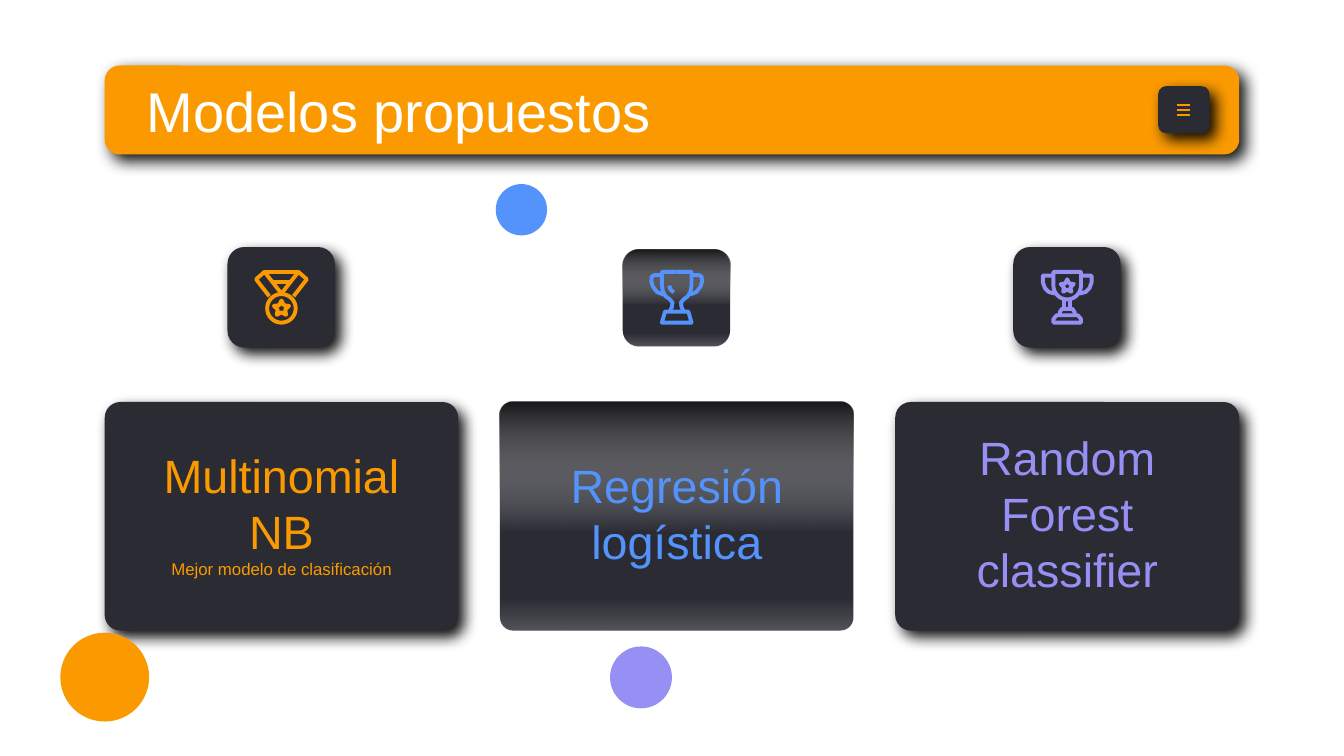
from dataclasses import dataclass
from math import cos, pi, sin

from lxml import etree
from pptx import Presentation
from pptx.dml.color import RGBColor
from pptx.enum.shapes import MSO_SHAPE
from pptx.enum.text import MSO_ANCHOR, PP_ALIGN
from pptx.oxml import parse_xml
from pptx.oxml.ns import nsdecls, qn
from pptx.util import Cm, Pt

ROUND_RECT, OVAL = MSO_SHAPE.ROUNDED_RECTANGLE, MSO_SHAPE.OVAL
MIDDLE = MSO_ANCHOR.MIDDLE
LEFT, CENTER = PP_ALIGN.LEFT, PP_ALIGN.CENTER

COLORS = {
    "orange": "FA9A00",
    "blue": "5393FB",
    "violet": "9690F4",
    "panel": "2A2B33",
    "white": "FFFFFF",
    "black": "000000",
    "gloss_dark": "17171A",
    "gloss_light": "EEEEEE",
}
FONT = "Arial"
ICON_TOP = 5.1
ICON_LINE = 2.1

Points = list[tuple[float, float]]
GLOSS = [
    (270, [(0, "white", 0), (43, "white", 0), (100, "gloss_dark", 100)]),
    (90, [(0, "white", 0), (86, "white", 0), (100, "gloss_light", 21)]),
]


@dataclass
class Stroke:
    points: Points
    closed: bool = False
    mirrored: bool = False


@dataclass
class Model:
    center: float
    width: float
    color: str
    lines: list[tuple[str, float]]
    icon: list[Stroke]
    glossy: bool = False


@dataclass
class Dot:
    left: float
    top: float
    size: float
    color: str


def rgb(name: str) -> RGBColor:
    return RGBColor.from_string(COLORS[name])


def arc(cy: float, radius: float, start: float, end: float, steps: int = 32) -> Points:
    angles = [start + (end - start) * i / steps for i in range(steps + 1)]
    return [(radius * cos(a), cy + radius * sin(a)) for a in angles]


def star(cy: float, radius: float) -> Points:
    radii = [radius, radius / 2] * 5
    return [(r * sin(i * pi / 5), cy - r * cos(i * pi / 5)) for i, r in enumerate(radii)]


MEDAL = [
    Stroke(arc(7.3, 2.7, 0, 2 * pi), closed=True),
    Stroke(star(7.3, 1.5), closed=True),
    Stroke([(-3.2, 0.4), (3.2, 0.4)]),
    Stroke([(-1.6, 2.4), (1.6, 2.4)]),
    Stroke([(0, 4.5), (-3.2, 0.4), (-4.8, 1.8), (-2.3, 5)], mirrored=True),
]
CUP = [
    Stroke([(0, 0.4), (-2.8, 0.4), (-2.8, 3), (-2.6, 4.1), (-2.1, 5), (-1.3, 5.6),
            (-0.8, 6.2), (-0.9, 7), (-1.3, 7.9)], mirrored=True),
    Stroke([(-2.8, 1), (-4.2, 1), (-4.7, 1.3), (-4.8, 2.2), (-4.5, 3.2),
            (-3.7, 4.2), (-2.5, 4.7)], mirrored=True),
    Stroke([(-2.2, 7.9), (2.2, 7.9), (2.8, 10), (-2.8, 10)], closed=True),
    Stroke([(-1.4, 3), (-1.2, 3.7), (-0.6, 4.3)]),
]
STAR_CUP = [
    Stroke([(-2.6, 0.4), (2.6, 0.4)] + arc(3, 2.6, 0, pi), closed=True),
    Stroke([(-2.6, 1.1), (-4.6, 1.1), (-4.6, 2.4), (-4.2, 3.5), (-3.5, 4.2),
            (-2.4, 4.5)], mirrored=True),
    Stroke(star(3.1, 1.3), closed=True),
    Stroke([(-0.6, 5.6), (-0.6, 7.4)], mirrored=True),
    Stroke([(-1.4, 8.6), (-1.4, 8), (-1, 7.4), (1, 7.4), (1.4, 8), (1.4, 8.6)]),
    Stroke([(-2.6, 10), (-2.6, 9.3), (-2, 8.6), (2, 8.6), (2.6, 9.3), (2.6, 10)],
           closed=True),
]
MODELS = [
    Model(5.32, 6.68, "orange",
          [("Multinomial\vNB", 25), ("Mejor modelo de clasificación", 9)], MEDAL),
    Model(12.79, 6.68, "blue", [("Regresión logística", 25)], CUP, glossy=True),
    Model(20.17, 6.5, "violet", [("Random Forest classifier", 25)], STAR_CUP),
]
DOTS = [
    Dot(11.53, 12.22, 1.17, "violet"),
    Dot(1.14, 11.96, 1.68, "orange"),
    Dot(9.37, 3.48, 0.97, "blue"),
]


def add_panel(shapes, left: float, top: float, width: float, height: float,
              color: str = "panel", kind=ROUND_RECT, radius: float = 0.167,
              shadow: bool = False):
    sp = shapes.add_shape(kind, Cm(left), Cm(top), Cm(width), Cm(height))
    if kind == ROUND_RECT:
        sp.adjustments[0] = radius
    sp.shadow.inherit = False
    sp.fill.solid()
    sp.fill.fore_color.rgb = rgb(color)
    sp.line.fill.background()
    if shadow:
        effects = sp._element.spPr.find(qn("a:effectLst"))
        effects.append(parse_xml(
            f'<a:outerShdw {nsdecls("a")} blurRad="{Pt(7.9)}" dist="{Pt(4.5)}" '
            f'dir="{46 * 60000}" algn="bl" rotWithShape="0">'
            f'<a:srgbClr val="{COLORS["black"]}"><a:alpha val="94000"/></a:srgbClr>'
            '</a:outerShdw>'))
    return sp


def add_glossy_panel(shapes, left: float, top: float, width: float, height: float,
                     radius: float) -> None:
    add_panel(shapes, left, top, width, height, radius=radius)
    for angle, stops in GLOSS:
        sp = add_panel(shapes, left, top, width, height, radius=radius)
        stop_xml = "".join(
            f'<a:gs pos="{pos * 1000}"><a:srgbClr val="{COLORS[color]}">'
            f'<a:alpha val="{alpha * 1000}"/></a:srgbClr></a:gs>'
            for pos, color, alpha in stops)
        spPr = sp._element.spPr
        spPr.replace(spPr.find(qn("a:solidFill")), parse_xml(
            f'<a:gradFill {nsdecls("a")} rotWithShape="1"><a:gsLst>{stop_xml}</a:gsLst>'
            f'<a:lin ang="{angle * 60000}" scaled="0"/></a:gradFill>'))


def add_text(shapes, left: float, top: float, width: float, height: float,
             lines: list[tuple[str, float]], color: str, align,
             inset: float = 0.25) -> None:
    tf = shapes.add_textbox(Cm(left), Cm(top), Cm(width), Cm(height)).text_frame
    tf.word_wrap = True
    tf.vertical_anchor = MIDDLE
    tf.margin_left = Cm(inset)
    tf.margin_right = tf.margin_top = tf.margin_bottom = Cm(0.25)
    for i, (text, size) in enumerate(lines):
        p = tf.add_paragraph() if i else tf.paragraphs[0]
        p.text = text
        p.alignment = align
        p.font.name = FONT
        p.font.size = Pt(size)
        p.font.color.rgb = rgb(color)


def add_stroke(shapes, center: float, points: Points, closed: bool, color: str) -> None:
    spots = [(Cm(center + x / 10), Cm(ICON_TOP + y / 10)) for x, y in points]
    builder = shapes.build_freeform(*spots[0])
    builder.add_line_segments(spots[1:], close=closed)
    sp = builder.convert_to_shape()
    sp.shadow.inherit = False
    sp.fill.background()
    sp.line.color.rgb = rgb(color)
    sp.line.width = Pt(ICON_LINE)
    etree.SubElement(sp.line._get_or_add_ln(), qn("a:round"))


def add_model(shapes, model: Model) -> None:
    left = model.center - model.width / 2
    tile_left = model.center - 1.02
    if model.glossy:
        add_glossy_panel(shapes, left, 7.6, model.width, 4.32, 0.057)
        add_glossy_panel(shapes, tile_left, 4.72, 2.03, 1.83, 0.167)
    else:
        add_panel(shapes, left, 7.6, model.width, 4.32, radius=0.068, shadow=True)
        add_panel(shapes, tile_left, 4.67, 2.03, 1.9, shadow=True)
    add_text(shapes, model.center - 2.77, 9.12, 5.54, 1.14, model.lines, model.color, CENTER)
    for stroke in model.icon:
        add_stroke(shapes, model.center, stroke.points, stroke.closed, model.color)
        if stroke.mirrored:
            flipped = [(-x, y) for x, y in stroke.points]
            add_stroke(shapes, model.center, flipped, stroke.closed, model.color)


def add_menu(shapes) -> None:
    add_panel(shapes, 21.89, 1.63, 0.97, 0.89, shadow=True)
    for i in range(3):
        y = Cm(1.98 + 0.1 * i)
        line = shapes.add_connector(1, Cm(22.25), y, Cm(22.49), y)
        line.line.color.rgb = rgb("orange")
        line.line.width = Pt(1.18)
        etree.SubElement(line._element.spPr, qn("a:effectLst"))


def main() -> None:
    prs = Presentation()
    prs.slide_width, prs.slide_height = Cm(25.4), Cm(14.29)
    shapes = prs.slides.add_slide(prs.slide_layouts[6]).shapes
    add_panel(shapes, 1.98, 1.24, 21.44, 1.68, "orange", shadow=True)
    add_text(shapes, 2.26, 1.4, 17.88, 1.37, [("Modelos propuestos", 30)], "white", LEFT, 0.51)
    for model in MODELS:
        add_model(shapes, model)
    add_menu(shapes)
    for dot in DOTS:
        add_panel(shapes, dot.left, dot.top, dot.size, dot.size, dot.color, OVAL)
    prs.save("out.pptx")


if __name__ == "__main__":
    main()
